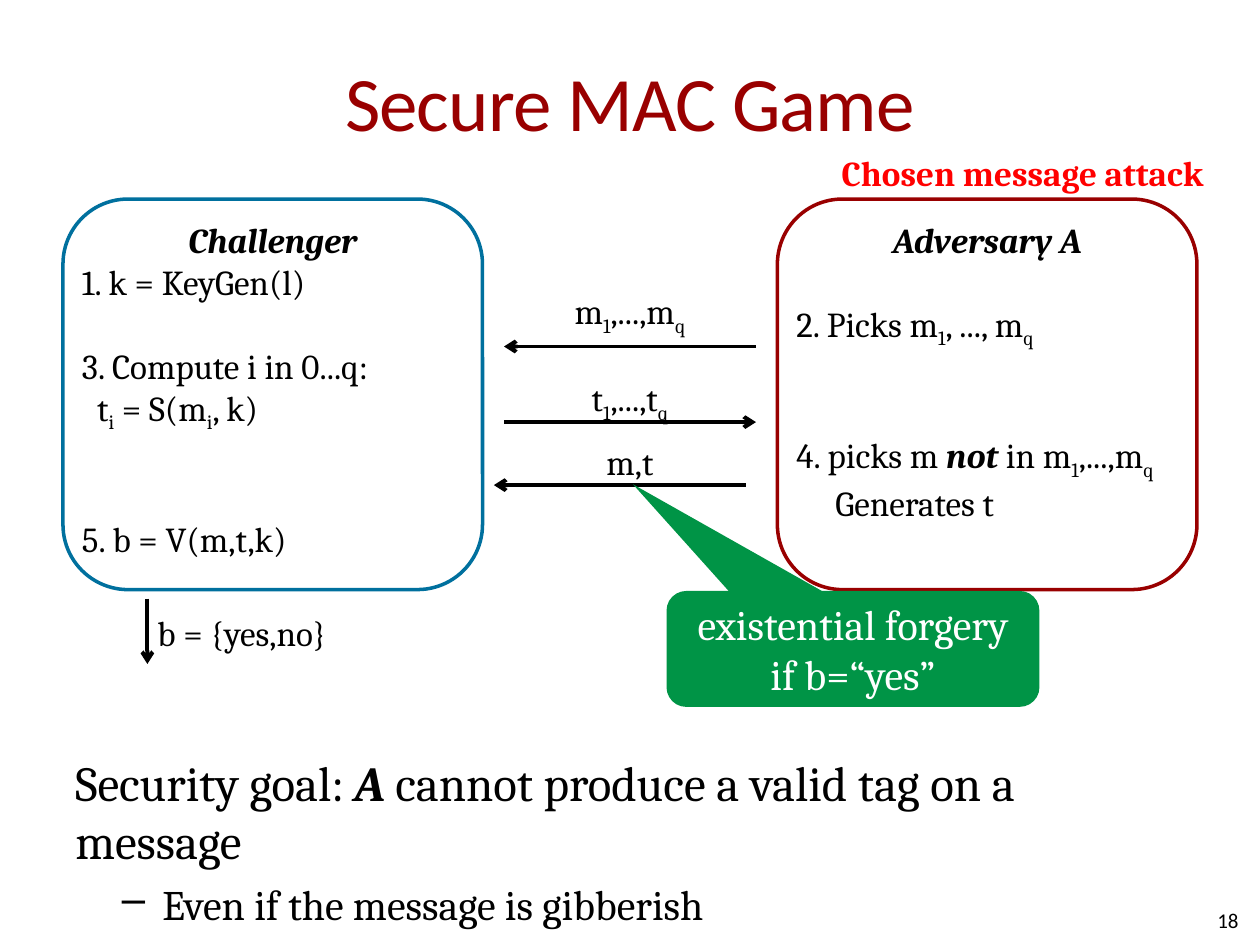
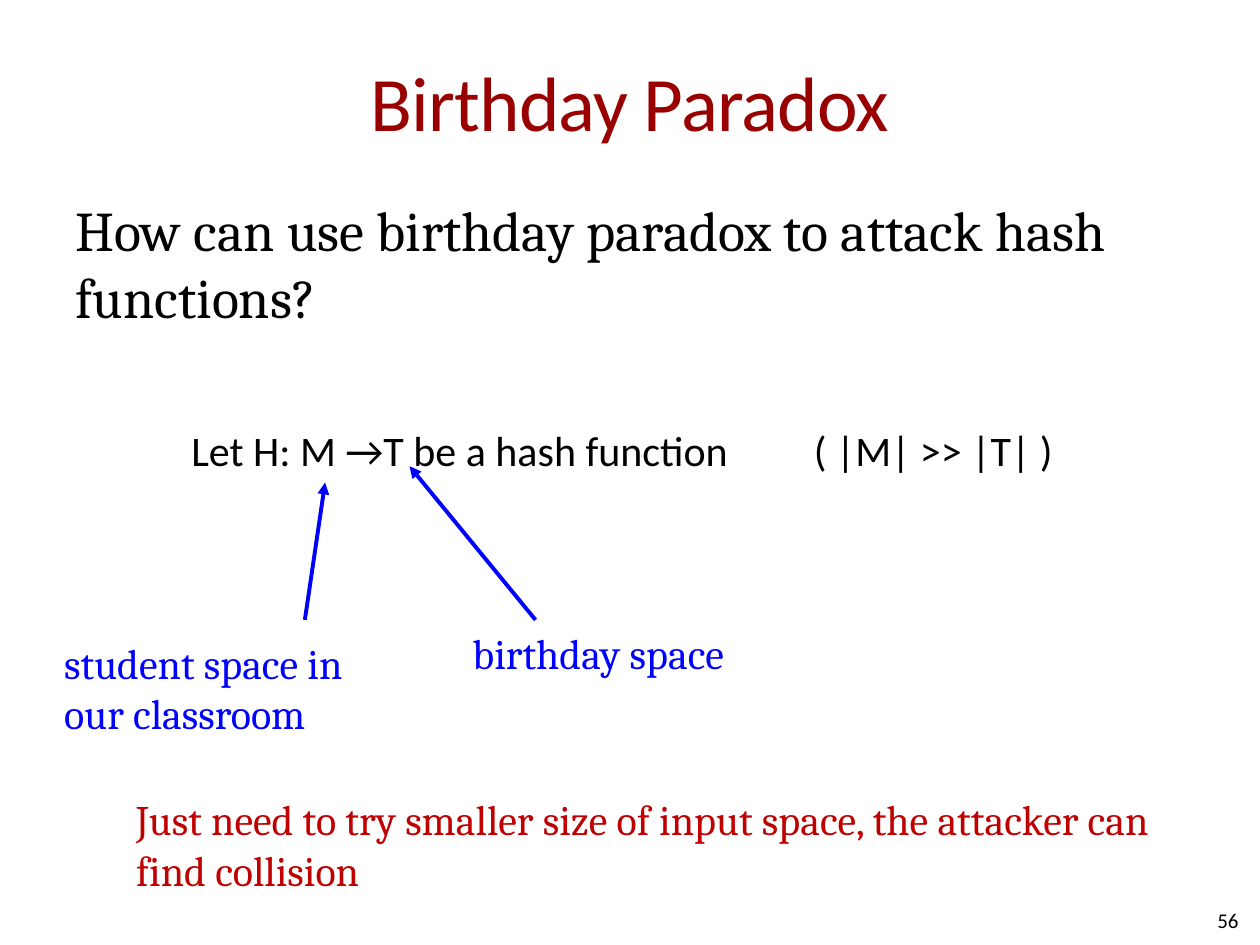
from lxml import etree
from pptx import Presentation
from pptx.dml.color import RGBColor
from pptx.enum.shapes import MSO_CONNECTOR, MSO_SHAPE
from pptx.enum.text import MSO_ANCHOR, PP_ALIGN
from pptx.oxml.ns import qn
from pptx.util import Inches, Pt

STRAIGHT = MSO_CONNECTOR.STRAIGHT
ROUND, CALLOUT = MSO_SHAPE.ROUNDED_RECTANGLE, MSO_SHAPE.ROUNDED_RECTANGULAR_CALLOUT
TOP, MIDDLE = MSO_ANCHOR.TOP, MSO_ANCHOR.MIDDLE
LEFT, CENTER, RIGHT = PP_ALIGN.LEFT, PP_ALIGN.CENTER, PP_ALIGN.RIGHT

WIDTH, HEIGHT, MARGIN = 10, 7.5, 0.5
CONTENT_W = WIDTH - 2 * MARGIN
SERIF, SANS = "Cambria", "Calibri"
BLACK, WHITE, CRIMSON, TEAL = "000000", "FFFFFF", "990000", "00709E"
GREEN, RED, BLUE, DARK_RED = "009446", "FF0000", "0000FF", "C00000"
PADDED, FLUSH = (0.1, 0.05), (0, 0)

CHALLENGER = [
    ("*Challenger*", {"align": CENTER}),
    ("1. k = KeyGen(l)", {}),
    ("3. Compute i in 0...q:", {"before": 24}),
    ("t~i~ = S(m~i~, k)", {"indent": 0.12}),
    ("5. b = V(m,t,k)", {"before": 48}),
]
ADVERSARY = [
    ("*Adversary A*", {"align": CENTER}),
    ("2. Picks m~1~, ..., m~q~", {"before": 24}),
    ("4. picks m *not* in m~1~,...,m~q~", {"before": 48}),
    ("Generates t", {"indent": 0.31}),
]
PLAYER_W, PLAYER_H, PLAYER_TOP = 3.33, 3.1, 1.58
PLAYERS = [
    (MARGIN, TEAL, CHALLENGER),
    (WIDTH - MARGIN - PLAYER_W, CRIMSON, ADVERSARY),
]
LABEL_W, LABEL_H = 1.4, 0.42
MESSAGES = [
    ("m~1~,...,m~q~", 2.25, 6, 4, 2.75),
    ("t~1~,...,t~q~", 2.94, 4, 6, 3.35),
    ("m,t", 3.45, 5.92, 3.92, 3.85),
]
FORGERY = [("existential forgery", {}), ("if b=“yes”", {})]
GOAL = [
    ("Security goal: *A* cannot produce a valid tag on a message", {}),
    ("Even if the message is gibberish",
     {"size": 24, "before": 5, "indent": 0.69, "hanging": -0.32, "bullet": "–"}),
]
HASH = [("Let H: M →T be a hash function\t( |M| >> |T| )", {"tab": 4.94})]
SPACES = [
    ("student space in our classroom", (0.51, 5.06, 2.5, 0.81), (2.42, 4.92), (2.58, 3.83)),
    ("birthday space", (3.75, 4.98, 2.5, 0.4), (4.25, 4.92), (3.25, 3.7)),
]


def rgb(value):
    return RGBColor.from_string(value)


def add_runs(p, markup, size, color, font, bold, tracking):
    sub = strong = False
    for piece in markup.replace("~", "\n~\n").replace("*", "\n*\n").split("\n"):
        if piece == "~":
            sub = not sub
        elif piece == "*":
            strong = not strong
        elif piece:
            r = p.add_run()
            r.text = piece
            r.font.size, r.font.name = Pt(size), font
            r.font.color.rgb = rgb(color)
            r.font.bold, r.font.italic = bold or strong, strong
            if sub:
                r.font._element.set("baseline", "-25000")
            if tracking:
                r.font._element.set("spc", str(tracking))


def write(sp, content, size=20, color=BLACK, font=SERIF, bold=False, align=LEFT,
          anchor=TOP, inset=PADDED, tracking=0):
    tf = sp.text_frame
    tf.word_wrap, tf.vertical_anchor = True, anchor
    tf.margin_left = tf.margin_right = Inches(inset[0])
    tf.margin_top = tf.margin_bottom = Inches(inset[1])
    paragraphs = [(content, {})] if isinstance(content, str) else content
    for i, (markup, opts) in enumerate(paragraphs):
        p = tf.add_paragraph() if i else tf.paragraphs[0]
        pPr = p._p.get_or_add_pPr()
        if "indent" in opts:
            pPr.set("marL", str(Inches(opts["indent"])))
            pPr.set("indent", str(Inches(opts.get("hanging", 0))))
        if "bullet" in opts:
            etree.SubElement(pPr, qn("a:buChar")).set("char", opts["bullet"])
        if "tab" in opts:
            stops = etree.SubElement(pPr, qn("a:tabLst"))
            etree.SubElement(stops, qn("a:tab"), pos=str(Inches(opts["tab"])), algn="l")
        p.alignment = opts.get("align", align)
        if "before" in opts:
            p.space_before = Pt(opts["before"])
        add_runs(p, markup, opts.get("size", size), color, font, bold, tracking)


def add_text(s, box, content, **style):
    write(s.shapes.add_textbox(*map(Inches, box)), content, **style)


def add_box(s, kind, box, fill, line, content, adjustments=(), **style):
    sp = s.shapes.add_shape(kind, *map(Inches, box))
    sp.shadow.inherit = False
    for i, value in enumerate(adjustments):
        sp.adjustments[i] = value
    sp.fill.solid()
    sp.fill.fore_color.rgb = rgb(fill)
    if line:
        sp.line.color.rgb, sp.line.width = rgb(line), Pt(2)
    else:
        sp.line.fill.background()
    write(sp, content, inset=FLUSH, **style)


def add_arrow(s, start, end, color=BLACK, head="arrow"):
    line = s.shapes.add_connector(STRAIGHT, *map(Inches, start + end))
    line.line.color.rgb, line.line.width = rgb(color), Pt(2.25)
    etree.SubElement(line.line._get_or_add_ln(), qn("a:tailEnd"), type=head)
    etree.SubElement(line._element.spPr, qn("a:effectLst"))


def add_slide(prs, title, number):
    s = prs.slides.add_slide(prs.slide_layouts[6])
    add_text(s, (MARGIN, 0.17, CONTENT_W, 1.25), title, size=44, color=CRIMSON, font=SANS,
             align=CENTER, anchor=MIDDLE, inset=(0, 0.05), tracking=-50)
    add_text(s, (7.5, 7.1, 2.33, 0.4), number, size=12, font=SANS, align=RIGHT,
             anchor=MIDDLE, inset=FLUSH)
    return s


def build_game(prs):
    s = add_slide(prs, "Secure MAC Game", "18")
    add_text(s, (MARGIN, 5.92, CONTENT_W, 1.5), GOAL, size=28)
    for left, color, steps in PLAYERS:
        add_box(s, ROUND, (left, PLAYER_TOP, PLAYER_W, PLAYER_H), WHITE, color, steps)
    for label, top, start, end, y in MESSAGES:
        add_arrow(s, (start, y), (end, y))
        add_text(s, ((WIDTH - LABEL_W) / 2, top, LABEL_W, LABEL_H), label, align=CENTER)
    add_arrow(s, (1.17, 4.75), (1.17, 5.27))
    add_text(s, (1.25, 4.85, 1.5, 0.34), "b = {yes,no}", inset=FLUSH)
    add_box(s, CALLOUT, (5.29, 4.69, 2.96, 0.92), GREEN, None, FORGERY, (-0.59, -1.42, 0.17),
            size=24, color=WHITE, align=CENTER, anchor=MIDDLE)
    add_text(s, (6.68, 1.2, 3.08, 0.34), "Chosen message attack", color=RED, bold=True,
             inset=FLUSH)


def build_birthday(prs):
    s = add_slide(prs, "Birthday Paradox", "56")
    add_text(s, (MARGIN, 1.5, CONTENT_W, 5.2),
             "How can use birthday paradox to attack hash functions?", size=32)
    add_text(s, (1.42, 3.32, 7.75, 0.5), HASH, size=24, font=SANS)
    for label, box, start, end in SPACES:
        add_arrow(s, start, end, BLUE, "triangle")
        add_text(s, box, label, size=24, color=BLUE, inset=FLUSH)
    add_text(s, (1.08, 6.3, 8.08, 0.81),
             "Just need to try smaller size of input space, the attacker can find collision",
             size=24, color=DARK_RED, inset=FLUSH)


def main():
    """Build the two slides on message authentication and hash collisions."""
    prs = Presentation()
    prs.slide_width, prs.slide_height = Inches(WIDTH), Inches(HEIGHT)
    build_game(prs)
    build_birthday(prs)
    prs.save("out.pptx")


if __name__ == "__main__":
    main()
